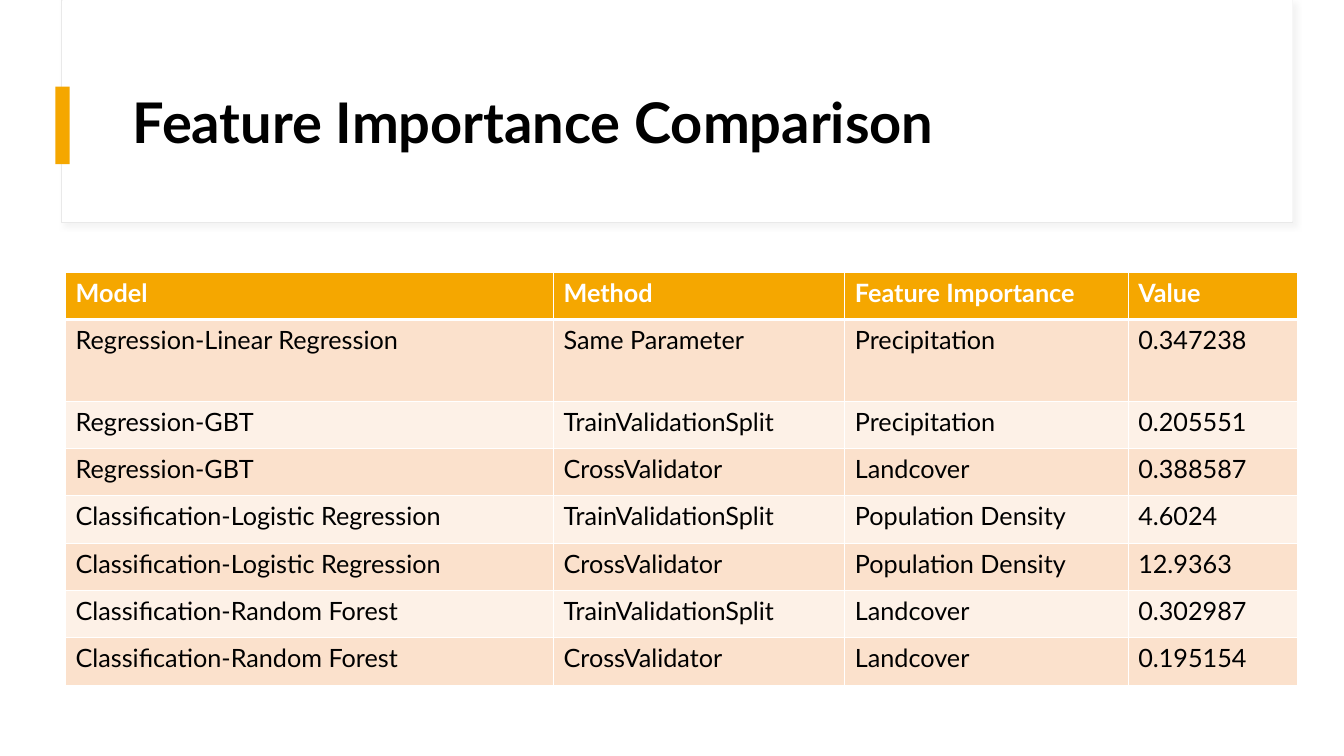
"""Build the feature importance comparison slide."""
import pptx
import pptx.dml.color
import pptx.enum.shapes
import pptx.enum.text
import pptx.oxml
import pptx.oxml.ns
import pptx.util

Inches = pptx.util.Inches
ORANGE, WHITE, BLACK = "F5A700", "FFFFFF", "000000"
BANDS = ["FDF1E7", "FBE1CC"]
NAMESPACE = pptx.oxml.ns.nsdecls("a")


def color(hex_value):
    return pptx.dml.color.RGBColor.from_string(hex_value)


def write(para, text, **formats):
    span = para.add_run()
    span.text = text
    span.font.color.rgb = color(formats.pop("color"))
    for name, value in {"name": "Lato", **formats}.items():
        setattr(span.font, name, value)


deck = pptx.Presentation()
deck.slide_width, deck.slide_height = Inches(13.33), Inches(7.5)
page = deck.slides.add_slide(deck.slide_layouts[6])

panels = [
    ((0.61, 0, 12.21, 2.21), WHITE, "E9E9E9"),
    ((0.62, 0, 12.2, 2.2), WHITE, None),
    ((0.55, 0.86, 0.14, 0.77), ORANGE, None),
]
for place, fill, outline in panels:
    panel = page.shapes.add_shape(
        pptx.enum.shapes.MSO_SHAPE.RECTANGLE, *map(Inches, place))
    panel.shadow.inherit = False
    panel.fill.solid()
    panel.fill.fore_color.rgb = color(fill)
    if outline:
        panel.line.color.rgb = color(outline)
        panel.line.width = pptx.util.Pt(0.75)
        effects = panel._element.spPr.find(pptx.oxml.ns.qn("a:effectLst"))
        effects.append(pptx.oxml.parse_xml(
            f'<a:outerShdw {NAMESPACE} blurRad="50800" dist="38100" dir="2700000" '
            'algn="tl" rotWithShape="0"><a:srgbClr val="D9D9D9">'
            '<a:alpha val="30000"/></a:srgbClr></a:outerShdw>'))
    else:
        panel.line.fill.background()

title_box = page.shapes.add_textbox(*map(Inches, (1.22, 0.6, 11.12, 1.29)))
title_frame = title_box.text_frame
title_frame.word_wrap = True
title_frame.vertical_anchor = pptx.enum.text.MSO_ANCHOR.MIDDLE
title = title_frame.paragraphs[0]
title.line_spacing = 0.9
write(title, "Feature Importance Comparison",
      size=pptx.util.Pt(40), bold=True, color=BLACK)

rows = [
    ("Model", "Method", "Feature Importance", "Value"),
    ("Regression-Linear Regression", "Same Parameter", "Precipitation", "0.347238"),
    ("Regression-GBT", "TrainValidationSplit", "Precipitation", "0.205551"),
    ("Regression-GBT", "CrossValidator", "Landcover", "0.388587"),
    ("Classification-Logistic Regression", "TrainValidationSplit",
     "Population Density", "4.6024"),
    ("Classification-Logistic Regression", "CrossValidator",
     "Population Density", "12.9363"),
    ("Classification-Random Forest", "TrainValidationSplit", "Landcover", "0.302987"),
    ("Classification-Random Forest", "CrossValidator", "Landcover", "0.195154"),
]
column_widths = [4.84, 2.89, 2.81, 1.68]
table = page.shapes.add_table(
    len(rows), len(column_widths), *map(Inches, (0.65, 2.7, 12.22, 4.11))).table
for column, width in zip(table.columns, column_widths):
    column.width = Inches(width)

for row_index, texts in enumerate(rows):
    header = row_index == 0
    table.rows[row_index].height = Inches(0.81 if row_index == 1 else 0.47)
    borders = {"L": 1, "R": 1, "T": 3 if row_index == 1 else 1, "B": 3 if header else 1}
    for column_index, text in enumerate(texts):
        cell = table.cell(row_index, column_index)
        properties = cell._tc.get_or_add_tcPr()
        for side, points in borders.items():
            properties.append(pptx.oxml.parse_xml(
                f'<a:ln{side} {NAMESPACE} w="{pptx.util.Pt(points)}"><a:solidFill>'
                f'<a:srgbClr val="{WHITE}"/></a:solidFill></a:ln{side}>'))
        cell.fill.solid()
        cell.fill.fore_color.rgb = color(ORANGE if header else BANDS[row_index % 2])
        write(cell.text_frame.paragraphs[0], text, size=pptx.util.Pt(18),
              bold=header, color=WHITE if header else BLACK)

deck.save("out.pptx")
